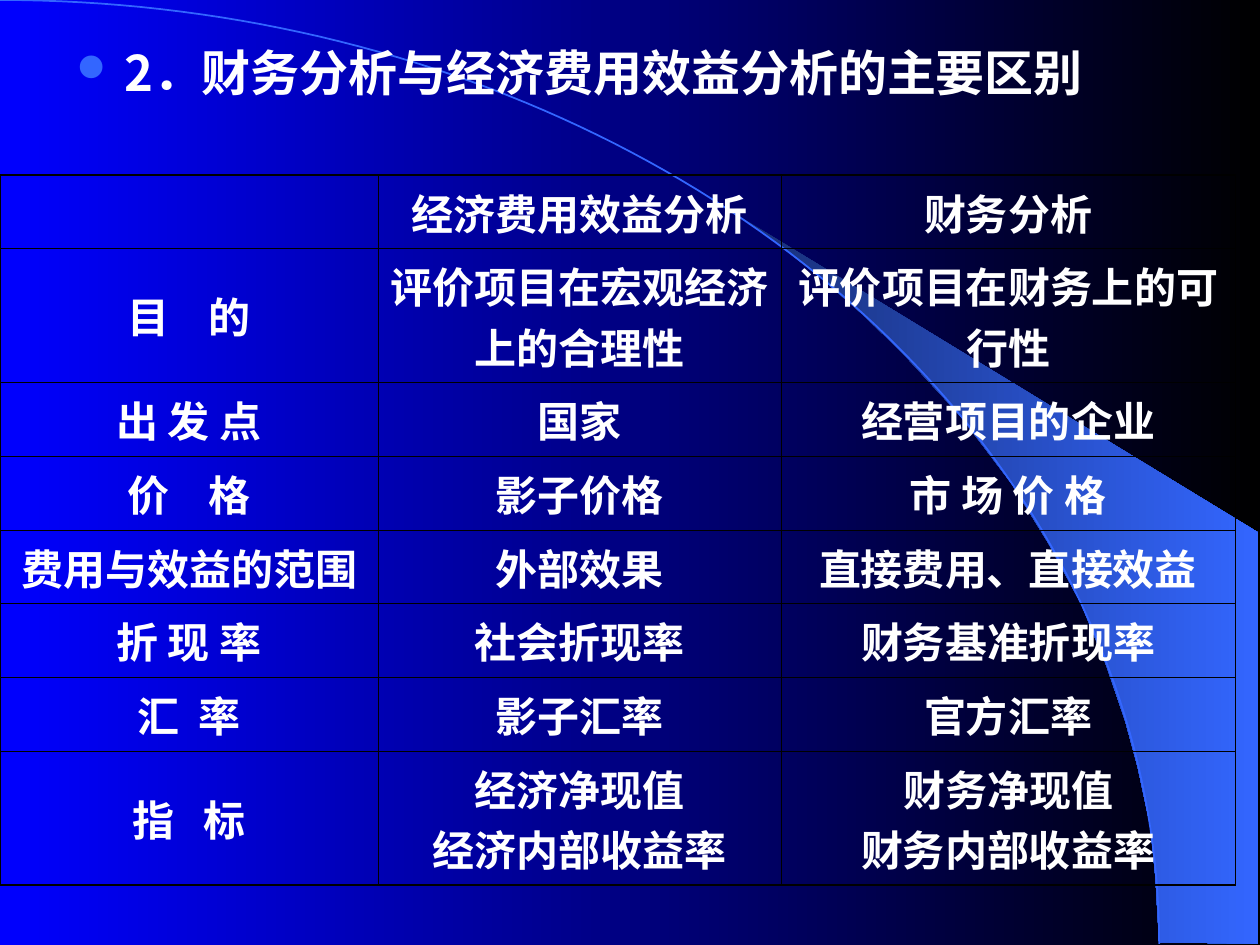
import math

from lxml import etree
from pptx import Presentation
from pptx.dml.color import RGBColor
from pptx.enum.text import MSO_ANCHOR, PP_ALIGN
from pptx.oxml.ns import qn
from pptx.util import Pt

CENTER = PP_ALIGN.CENTER
MIDDLE = MSO_ANCHOR.MIDDLE
BLANK_LAYOUT = 6
FONT = "Noto Sans CJK SC"
COLORS = {
    "blue": "0000FF",
    "black": "000000",
    "navy": "182F76",
    "accent": "3366FF",
    "white": "FFFFFF",
}

TITLE = "2．财务分析与经济费用效益分析的主要区别"
ROWS = [
    ("", "经济费用效益分析", "财务分析"),
    ("目    的", "评价项目在宏观经济上的合理性", "评价项目在财务上的可行性"),
    ("出 发 点", "国家", "经营项目的企业"),
    ("价    格", "影子价格", "市 场 价 格"),
    ("费用与效益的范围", "外部效果", "直接费用、直接效益"),
    ("折 现 率", "社会折现率", "财务基准折现率"),
    ("汇  率", "影子汇率", "官方汇率"),
    ("指   标", "经济净现值\n经济内部收益率", "财务净现值\n财务内部收益率"),
]
COLUMN_WIDTHS = [216, 230.4, 259.2]
ROW_HEIGHT, TALL_ROW_HEIGHT = 42.1, 76.5
TALL_ROWS = {1, 7}
TABLE_TOP = 100.08
EDGE_LINE, SIDE_LINE, INNER_LINE = 0.96, 0.34, 0.45

ARC_WIDTH, ARC_HEIGHT, ARC_STEPS = 662.4, 539.28, 90
SWOOSH = [
    (662.4, 538.56), (719.28, 539.28), (719.28, 304.56), (424.08, 124.56),
    (449.28, 143.28), (470.16, 159.84), (493.2, 180), (515.52, 201.6),
    (548.64, 237.6), (578.16, 276.48), (599.04, 310.32), (617.76, 344.88),
    (632.16, 380.16), (642.96, 411.84), (650.16, 438.48), (657.36, 472.32),
    (660.24, 501.12),
]


def color(name):
    return RGBColor.from_string(COLORS[name])


def set_gradient(fill, names):
    fill.gradient()
    fill.gradient_angle = 0
    for stop, name in zip(fill.gradient_stops, names):
        stop.color.rgb = color(name)


def add_outline(slide, points, close):
    points = [(Pt(x), Pt(y)) for x, y in points]
    builder = slide.shapes.build_freeform(*points[0], scale=1.0)
    builder.add_line_segments(points[1:], close=close)
    shape = builder.convert_to_shape()
    shape.shadow.inherit = False
    return shape


def style_text(paragraph, size):
    paragraph.font.size = Pt(size)
    paragraph.font.bold = True
    paragraph.font.name = FONT
    paragraph.font.color.rgb = color("white")
    latin = paragraph._p.pPr.find(qn("a:defRPr")).find(qn("a:latin"))
    latin.addnext(etree.Element(qn("a:ea"), typeface=FONT))


def add_bullet(paragraph, indent):
    properties = paragraph._p.get_or_add_pPr()
    properties.set("marL", str(Pt(indent)))
    properties.set("indent", str(-Pt(indent)))
    bullet_color = etree.SubElement(properties, qn("a:buClr"))
    etree.SubElement(bullet_color, qn("a:srgbClr"), val=COLORS["accent"])
    etree.SubElement(properties, qn("a:buSzPct"), val="80000")
    etree.SubElement(properties, qn("a:buFont"), typeface="Wingdings", charset="2")
    etree.SubElement(properties, qn("a:buChar"), char="l")


def add_borders(cell, widths):
    properties = cell._tc.get_or_add_tcPr()
    for side, width in widths.items():
        line = etree.SubElement(properties, qn(f"a:ln{side}"), w=str(Pt(width)))
        fill = etree.SubElement(line, qn("a:solidFill"))
        etree.SubElement(fill, qn("a:srgbClr"), val=COLORS["black"])


def add_background(slide):
    set_gradient(slide.background.fill, ("blue", "black"))
    swoosh = add_outline(slide, SWOOSH, True)
    set_gradient(swoosh.fill, ("navy", "accent"))
    swoosh.line.fill.background()

    angles = [math.pi / 2 * step / ARC_STEPS for step in range(ARC_STEPS + 1)]
    arc_points = [
        (ARC_WIDTH * math.sin(angle), ARC_HEIGHT * (1 - math.cos(angle)))
        for angle in angles
    ]
    arc = add_outline(slide, arc_points, False)
    arc.fill.background()
    arc.line.color.rgb = color("accent")
    arc.line.width = Pt(1)


def add_title(slide):
    box = slide.shapes.add_textbox(Pt(36.72), Pt(20.6), Pt(623.52), Pt(45.36))
    box.text_frame.word_wrap = True
    paragraph = box.text_frame.paragraphs[0]
    paragraph.text = TITLE
    add_bullet(paragraph, 27.2)
    style_text(paragraph, 28)


def add_comparison(slide):
    heights = [
        TALL_ROW_HEIGHT if index in TALL_ROWS else ROW_HEIGHT
        for index in range(len(ROWS))
    ]
    table = slide.shapes.add_table(
        len(ROWS), len(COLUMN_WIDTHS),
        Pt(0), Pt(TABLE_TOP), Pt(sum(COLUMN_WIDTHS)), Pt(sum(heights)),
    ).table
    table.first_row = False
    table.horz_banding = False
    for column, width in zip(table.columns, COLUMN_WIDTHS):
        column.width = Pt(width)
    last_row, last_column = len(ROWS) - 1, len(COLUMN_WIDTHS) - 1
    for row_index, (texts, height) in enumerate(zip(ROWS, heights)):
        table.rows[row_index].height = Pt(height)
        for column_index, text in enumerate(texts):
            cell = table.cell(row_index, column_index)
            add_borders(cell, {
                "L": SIDE_LINE if column_index == 0 else INNER_LINE,
                "R": SIDE_LINE if column_index == last_column else INNER_LINE,
                "T": EDGE_LINE if row_index == 0 else INNER_LINE,
                "B": EDGE_LINE if row_index == last_row else INNER_LINE,
            })
            cell.fill.background()
            cell.vertical_anchor = MIDDLE
            cell.text = text
            for paragraph in cell.text_frame.paragraphs:
                paragraph.alignment = CENTER
                style_text(paragraph, 24)


def main():
    presentation = Presentation()
    presentation.slide_width = Pt(720)
    presentation.slide_height = Pt(540)
    slide = presentation.slides.add_slide(presentation.slide_layouts[BLANK_LAYOUT])
    add_background(slide)
    add_title(slide)
    add_comparison(slide)
    presentation.save("out.pptx")


if __name__ == "__main__":
    main()
